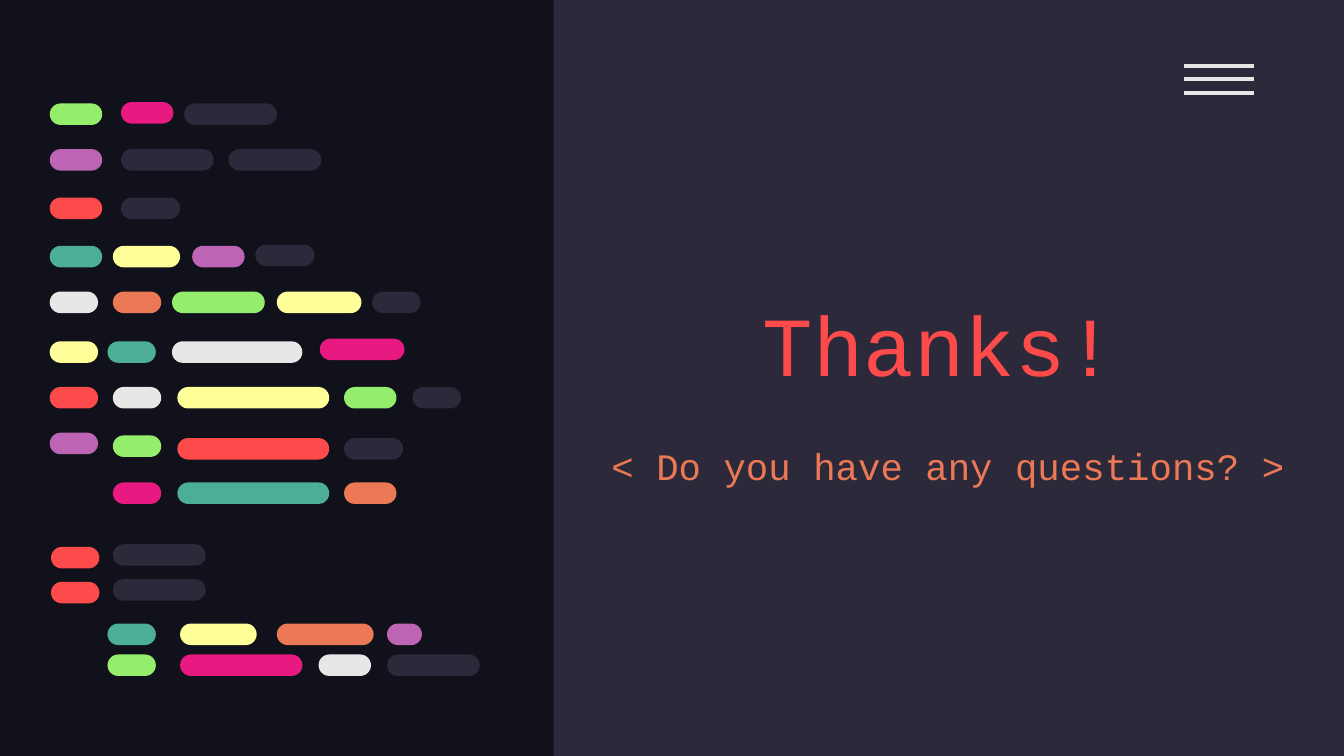
"""Build a closing slide with a stylised code listing and a thank-you message."""
from pptx import Presentation
from pptx.dml.color import RGBColor
from pptx.enum.shapes import MSO_CONNECTOR as Connector, MSO_SHAPE as Shape
from pptx.enum.text import MSO_ANCHOR as Anchor, PP_ALIGN as Align
from pptx.oxml.ns import qn
from pptx.util import Inches, Pt
from lxml.etree import SubElement

THEME = {
    "font": "Courier New",
    "title_size": 45,
    "subtitle_size": 20,
    "menu_width": 2.25,
    "night": "10111A",
    "slate": "2C293A",
    "white": "E7E7E7",
    "green": "94EE6B",
    "pink": "E81A81",
    "purple": "BD64B5",
    "red": "FD4A4A",
    "teal": "4CAE97",
    "yellow": "FFFF99",
    "orange": "EC7955",
}

SLIDE_WIDTH = 10
SLIDE_HEIGHT = SLIDE_WIDTH * 9 / 16
PANEL_LEFT = 4.12
PILL_HEIGHT = 0.16
MENU = {"left": 8.81, "right": 9.33, "top": 0.49, "gap": 0.1, "count": 3}

CODE_ROWS = [
    (0.77, [(0.37, 0.39, "green"), (1.37, 0.69, "slate")]),
    (0.76, [(0.9, 0.39, "pink")]),
    (1.11, [(0.37, 0.39, "purple"), (0.9, 0.69, "slate"), (1.7, 0.69, "slate")]),
    (1.47, [(0.37, 0.39, "red"), (0.9, 0.44, "slate")]),
    (1.83, [(0.37, 0.39, "teal"), (0.84, 0.5, "yellow"), (1.43, 0.39, "purple")]),
    (1.82, [(1.9, 0.44, "slate")]),
    (2.17, [(0.37, 0.36, "white"), (0.84, 0.36, "orange"), (1.28, 0.69, "green"),
            (2.06, 0.63, "yellow"), (2.77, 0.36, "slate")]),
    (2.54, [(0.37, 0.36, "yellow"), (0.8, 0.36, "teal"), (1.28, 0.97, "white")]),
    (2.52, [(2.38, 0.63, "pink")]),
    (2.88, [(0.37, 0.36, "red"), (0.84, 0.36, "white"), (1.32, 1.13, "yellow"),
            (2.56, 0.39, "green"), (3.07, 0.36, "slate")]),
    (3.22, [(0.37, 0.36, "purple")]),
    (3.24, [(0.84, 0.36, "green")]),
    (3.26, [(1.32, 1.13, "red"), (2.56, 0.44, "slate")]),
    (3.59, [(0.84, 0.36, "pink"), (1.32, 1.13, "teal"), (2.56, 0.39, "orange")]),
    (4.07, [(0.38, 0.36, "red")]),
    (4.05, [(0.84, 0.69, "slate")]),
    (4.33, [(0.38, 0.36, "red")]),
    (4.31, [(0.84, 0.69, "slate")]),
    (4.64, [(0.8, 0.36, "teal"), (1.34, 0.57, "yellow"), (2.06, 0.72, "orange"),
            (2.88, 0.26, "purple")]),
    (4.87, [(0.8, 0.36, "green"), (1.34, 0.91, "pink"), (2.37, 0.39, "white"),
            (2.88, 0.69, "slate")]),
]

MESSAGES = [
    ("Thanks!", (4.56, 2.08, 4.86, 1.16), "title_size", "red", Anchor.TOP, 1.0),
    ("< Do you have any questions? >", (4.35, 2.86, 5.41, 1.16),
     "subtitle_size", "orange", Anchor.MIDDLE, 1.15),
]


def color(name):
    """Return a theme colour."""
    return RGBColor.from_string(THEME[name])


def apply(target, values):
    """Set each named attribute on the target."""
    for name, value in values.items():
        setattr(target, name, value)


def add_block(page, kind, bounds, fill):
    """Add a flat filled shape without outline or shadow."""
    block = page.shapes.add_shape(kind, *map(Inches, bounds))
    block.shadow.inherit = False
    block.fill.solid()
    block.fill.fore_color.rgb = color(fill)
    block.line.fill.background()
    return block


def add_code(page):
    """Draw the rows of rounded code tokens."""
    for top, pills in CODE_ROWS:
        for left, width, fill in pills:
            bounds = (left, top, width, PILL_HEIGHT)
            pill = add_block(page, Shape.ROUNDED_RECTANGLE, bounds, fill)
            pill.adjustments[0] = 0.5


def add_menu(page):
    """Draw the evenly spaced menu lines."""
    for index in range(MENU["count"]):
        height = MENU["top"] + index * MENU["gap"]
        ends = (MENU["left"], height, MENU["right"], height)
        line = page.shapes.add_connector(Connector.STRAIGHT, *map(Inches, ends))
        line.line.color.rgb = color("white")
        line.line.width = Pt(THEME["menu_width"])
        SubElement(line._element.spPr, qn("a:effectLst"))


def add_message(page, text, bounds, size, fill, anchor, spacing):
    """Add one centred line of text."""
    box = page.shapes.add_textbox(*map(Inches, bounds))
    frame = box.text_frame
    margins = ("margin_left", "margin_top", "margin_right", "margin_bottom")
    apply(frame, {"word_wrap": True, "vertical_anchor": anchor,
                  **dict.fromkeys(margins, Inches(0.1))})
    para = frame.paragraphs[0]
    apply(para, {"alignment": Align.CENTER, "line_spacing": spacing})
    span = para.add_run()
    span.text = text
    apply(span.font, {"name": THEME["font"], "size": Pt(THEME[size])})
    span.font.color.rgb = color(fill)


def main():
    """Assemble and save the slide."""
    deck = Presentation()
    apply(deck, {"slide_width": Inches(SLIDE_WIDTH),
                 "slide_height": Inches(SLIDE_HEIGHT)})
    page = deck.slides.add_slide(deck.slide_layouts[6])
    page.background.fill.solid()
    page.background.fill.fore_color.rgb = color("night")
    panel = (PANEL_LEFT, 0, SLIDE_WIDTH - PANEL_LEFT, SLIDE_HEIGHT)
    add_block(page, Shape.RECTANGLE, panel, "slate")
    add_menu(page)
    add_code(page)
    for message in MESSAGES:
        add_message(page, *message)
    deck.save("out.pptx")


if __name__ == "__main__":
    main()
